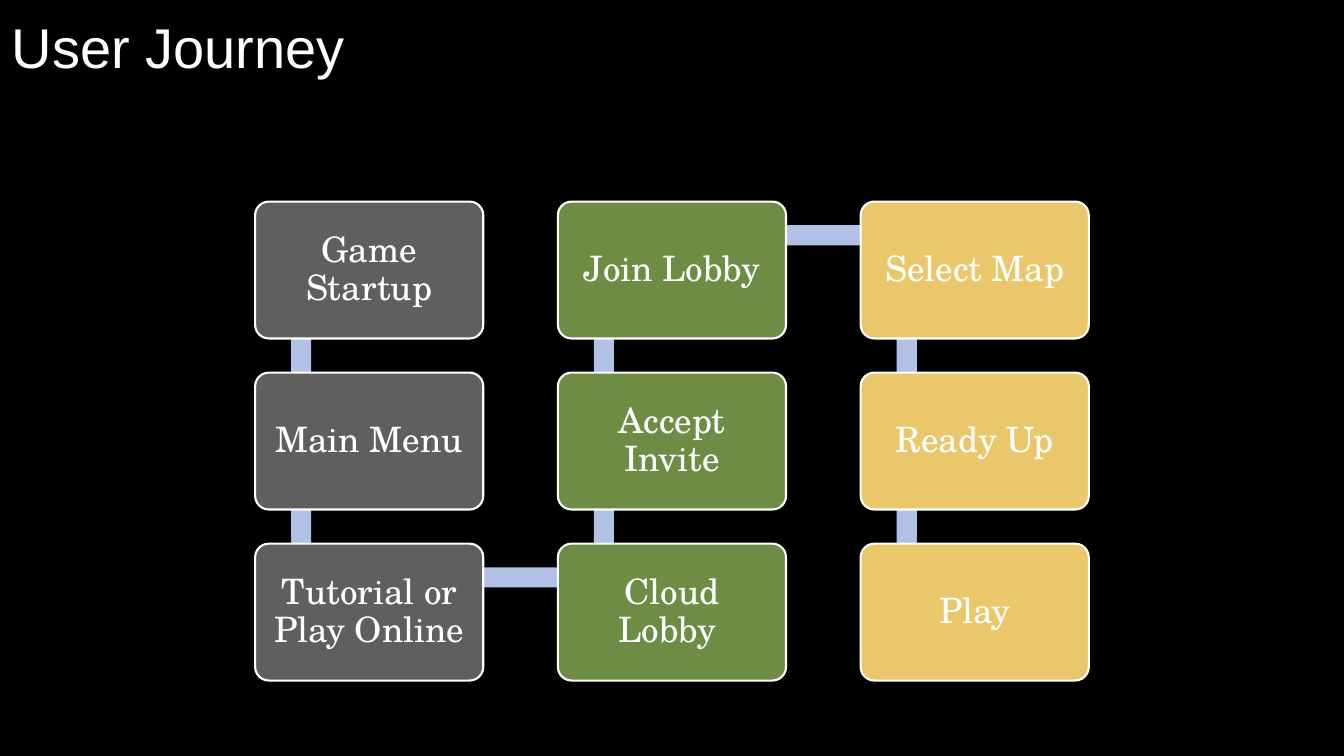
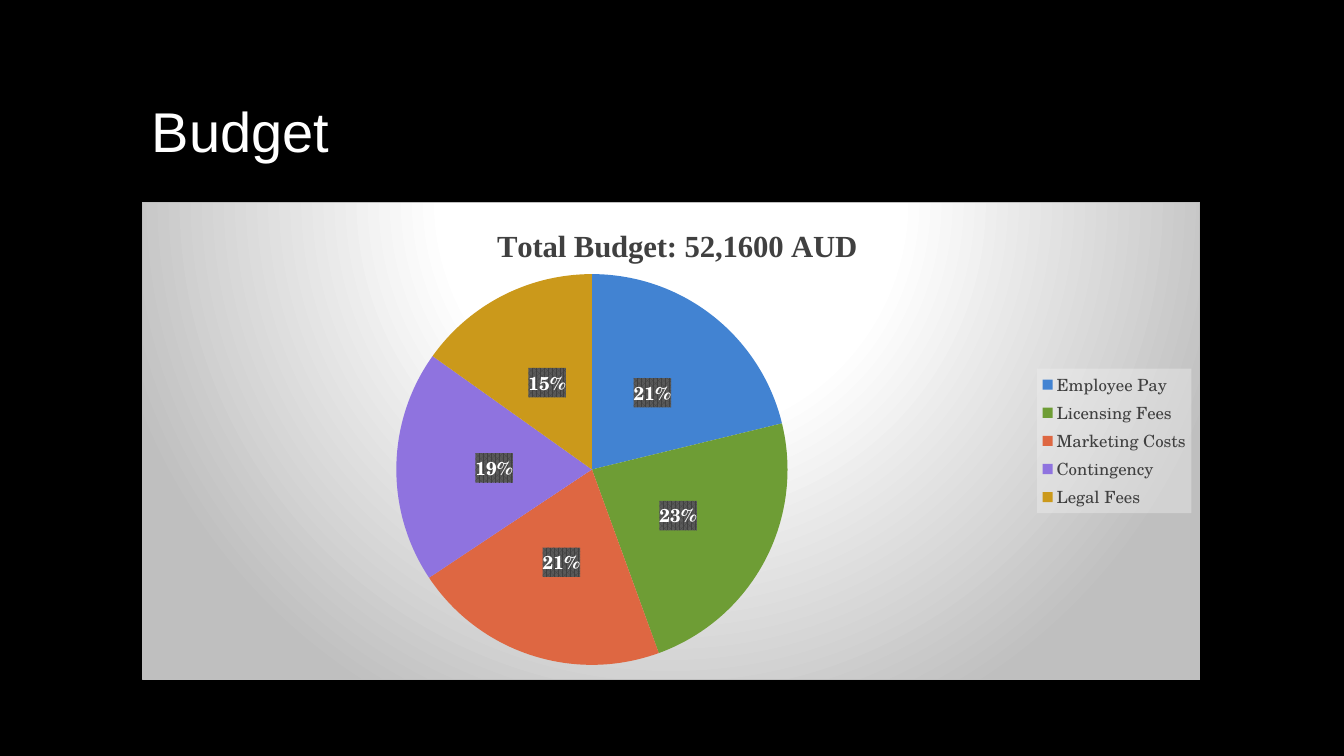
from dataclasses import dataclass
from typing import Any

from pptx import Presentation, oxml
from pptx import util as u
from pptx.chart import data as cd
from pptx.dml import color as dc
from pptx.enum import chart as ce
from pptx.enum import shapes as se
from pptx.enum import text as te
from pptx.oxml import ns

HUES = {
    "black": "000000", "white": "FFFFFF", "ink": "404040", "link": "B0C1E5",
    "start": "5F5F5F", "lobby": "6D8D45", "match": "EBC76B", "edge": "BFBFBF",
    "pale": "F2F2F2", "mesh": "595959",
    "pay": "4283D2", "license": "6E9D35", "market": "DE6742",
    "spare": "8F73DF", "legal": "CB991B",
}
SERIF = "TeX Gyre Schola"
HEAD = {"name": "Arial", "size": u.Pt(40), "color": "white"}
CARD = {"name": SERIF, "size": u.Pt(25), "color": "white"}
BASE = {"name": SERIF, "size": u.Pt(10), "color": "white"}
KEY = {"name": SERIF, "size": u.Pt(12), "color": "ink"}
TAG = {"name": SERIF, "size": u.Pt(13.3), "bold": True, "color": "white"}
TOTAL = {"name": "Times New Roman", "size": u.Pt(22), "bold": True, "color": "ink"}

LEFT, TOP = 6.43, 5.08
WIDTH, HEIGHT = 5.75, 3.45
PITCH_X, PITCH_Y = 7.63, 4.31
PIN_X, PIN_Y = 1.16, 0.85
BAND = 0.51


@dataclass(frozen=True)
class Step:
    label: str
    hue: str
    col: int
    row: int

    @property
    def spot(self) -> tuple[float, float]:
        return LEFT + self.col * PITCH_X, TOP + self.row * PITCH_Y


@dataclass(frozen=True)
class Slice:
    label: str
    share: int
    hue: str


STEPS = [
    Step("Game Startup", "start", 0, 0),
    Step("Main Menu", "start", 0, 1),
    Step("Tutorial or Play Online", "start", 0, 2),
    Step("Cloud Lobby ", "lobby", 1, 2),
    Step("Accept Invite", "lobby", 1, 1),
    Step("Join Lobby", "lobby", 1, 0),
    Step("Select Map", "match", 2, 0),
    Step("Ready Up", "match", 2, 1),
    Step("Play", "match", 2, 2),
]
COSTS = [
    Slice("Employee Pay", 21, "pay"),
    Slice("Licensing Fees", 23, "license"),
    Slice("Marketing Costs", 21, "market"),
    Slice("Contingency", 19, "spare"),
    Slice("Legal Fees", 15, "legal"),
]


def rgb(hue: str) -> dc.RGBColor:
    return dc.RGBColor.from_string(HUES[hue])


def apply(item: Any, form: dict[str, Any]) -> None:
    for name, value in form.items():
        if name == "color":
            item.color.rgb = rgb(value)
        else:
            setattr(item, name, value)


def paint(item: Any, hue: str) -> None:
    item.fill.solid()
    item.fill.fore_color.rgb = rgb(hue)


def write(frame: Any, label: str, font: dict[str, Any], form: dict[str, Any]) -> None:
    para = frame.paragraphs[0]
    apply(para, form)
    run = para.add_run()
    run.text = label
    apply(run.font, font)


def add_page(deck: Any, title: str, left: float, top: float) -> Any:
    page = deck.slides.add_slide(deck.slide_layouts[6])
    box = page.shapes.add_textbox(u.Cm(left), u.Cm(top), u.Cm(26.67), u.Cm(2.11))
    apply(box.text_frame, {"word_wrap": True, "vertical_anchor": te.MSO_ANCHOR.BOTTOM})
    write(box.text_frame, title, HEAD, {"line_spacing": 0.8})
    return page


def add_block(page: Any, kind: Any, left: float, top: float,
              width: float, height: float, hue: str) -> Any:
    block = page.shapes.add_shape(kind, u.Cm(left), u.Cm(top), u.Cm(width), u.Cm(height))
    block.shadow.inherit = False
    paint(block, hue)
    block.line.fill.background()
    return block


def add_link(page: Any, start: Step, end: Step) -> None:
    (ax, ay), (bx, by) = start.spot, end.spot
    left, top = min(ax, bx) + PIN_X, min(ay, by) + PIN_Y
    half = BAND / 2
    if start.col == end.col:
        area = left - half, top, BAND, PITCH_Y
    else:
        area = left, top - half, PITCH_X, BAND
    add_block(page, se.MSO_SHAPE.RECTANGLE, *area, "link")


def add_card(page: Any, step: Step) -> None:
    card = add_block(page, se.MSO_SHAPE.ROUNDED_RECTANGLE, *step.spot, WIDTH, HEIGHT, step.hue)
    card.adjustments[0] = 0.1
    apply(card.line, {"color": "white", "width": u.Pt(1.5)})
    sides = ("left", "right", "top", "bottom")
    apply(card.text_frame, {f"margin_{side}": u.Cm(0.36) for side in sides})
    apply(card.text_frame, {"word_wrap": True, "vertical_anchor": te.MSO_ANCHOR.MIDDLE})
    write(card.text_frame, step.label, CARD,
          {"alignment": te.PP_ALIGN.CENTER, "line_spacing": 0.9})


def node(tag: str, body: str) -> Any:
    return oxml.parse_xml(f'<{tag} {ns.nsdecls("c", "a")}>{body}</{tag}>')


def tint(hue: str, extra: str = "") -> str:
    return f'<a:srgbClr val="{HUES[hue]}">{extra}</a:srgbClr>'


def place(part: Any, **spots: float) -> None:
    for old in part.xpath("c:layout"):
        part.remove(old)
    modes = "".join(f'<c:{key}Mode val="edge"/>' for key in ("x", "y"))
    sizes = "".join(f'<c:{key} val="{value}"/>' for key, value in spots.items())
    inner = '<c:layoutTarget val="inner"/>' if "w" in spots else ""
    part.insert(1 if part.xpath("c:tx") else 0,
                node("c:layout", f"<c:manualLayout>{inner}{modes}{sizes}</c:manualLayout>"))


def dress(root: Any) -> None:
    stops = "".join(f'<a:gs pos="{pos}">{tint(hue)}</a:gs>'
                    for pos, hue in ((0, "white"), (39000, "white"), (100000, "edge")))
    glow = (f'<a:gradFill><a:gsLst>{stops}</a:gsLst><a:path path="circle">'
            '<a:fillToRect l="50000" t="-80000" r="50000" b="180000"/></a:path></a:gradFill>'
            f'<a:ln w="9525"><a:solidFill>{tint("edge")}</a:solidFill></a:ln>')
    mesh = (f'<a:pattFill prst="pct75"><a:fgClr>{tint("ink")}</a:fgClr>'
            f'<a:bgClr>{tint("mesh")}</a:bgClr></a:pattFill>')
    veil = f'<a:solidFill>{tint("pale", chr(60) + "a:alpha val=" + chr(34) + "39000" + chr(34) + "/>")}</a:solidFill>'
    for query, body in (("c:txPr", glow), (".//c:ser/c:dLbls/c:txPr", mesh),
                        (".//c:legend/c:txPr", veil)):
        root.xpath(query)[0].addprevious(node("c:spPr", body))
    place(root.xpath("c:chart/c:title")[0], x=0.33, y=0.04)
    place(root.xpath(".//c:plotArea")[0], x=0.24, y=0.15, w=0.37, h=0.82)


def add_pie(page: Any) -> None:
    data = cd.CategoryChartData()
    data.categories = [cost.label for cost in COSTS]
    data.add_series("Series 1", [cost.share for cost in COSTS])
    chart = page.shapes.add_chart(ce.XL_CHART_TYPE.PIE, u.Cm(3.58), u.Cm(5.08),
                                  u.Cm(26.67), u.Cm(12.06), data).chart
    apply(chart, {"has_title": True, "has_legend": True})
    apply(chart.font, BASE)
    write(chart.chart_title.text_frame, "Total Budget: 52,1600 AUD", TOTAL, {})
    apply(chart.legend, {"position": ce.XL_LEGEND_POSITION.RIGHT, "include_in_layout": False})
    apply(chart.legend.font, KEY)
    plot = chart.plots[0]
    plot.vary_by_categories = True
    series = plot.series[0]
    for rank, cost in enumerate(COSTS):
        paint(series.points[rank].format, cost.hue)
    tags = series.data_labels
    apply(tags, {"show_value": False, "show_percentage": True, "number_format": "0%",
                 "number_format_is_linked": False,
                 "position": ce.XL_LABEL_POSITION.CENTER})
    apply(tags.font, TAG)
    dress(chart.element)


def main() -> None:
    deck = Presentation()
    apply(deck, {"slide_width": u.Cm(33.87), "slide_height": u.Cm(19.05)})
    paint(deck.slide_master.background, "black")

    page = add_page(deck, "User Journey", 0.05, 0)
    for start, end in zip(STEPS, STEPS[1:]):
        add_link(page, start, end)
    for step in STEPS:
        add_card(page, step)

    add_pie(add_page(deck, "Budget", 3.58, 2.13))
    deck.save("out.pptx")


if __name__ == "__main__":
    main()
